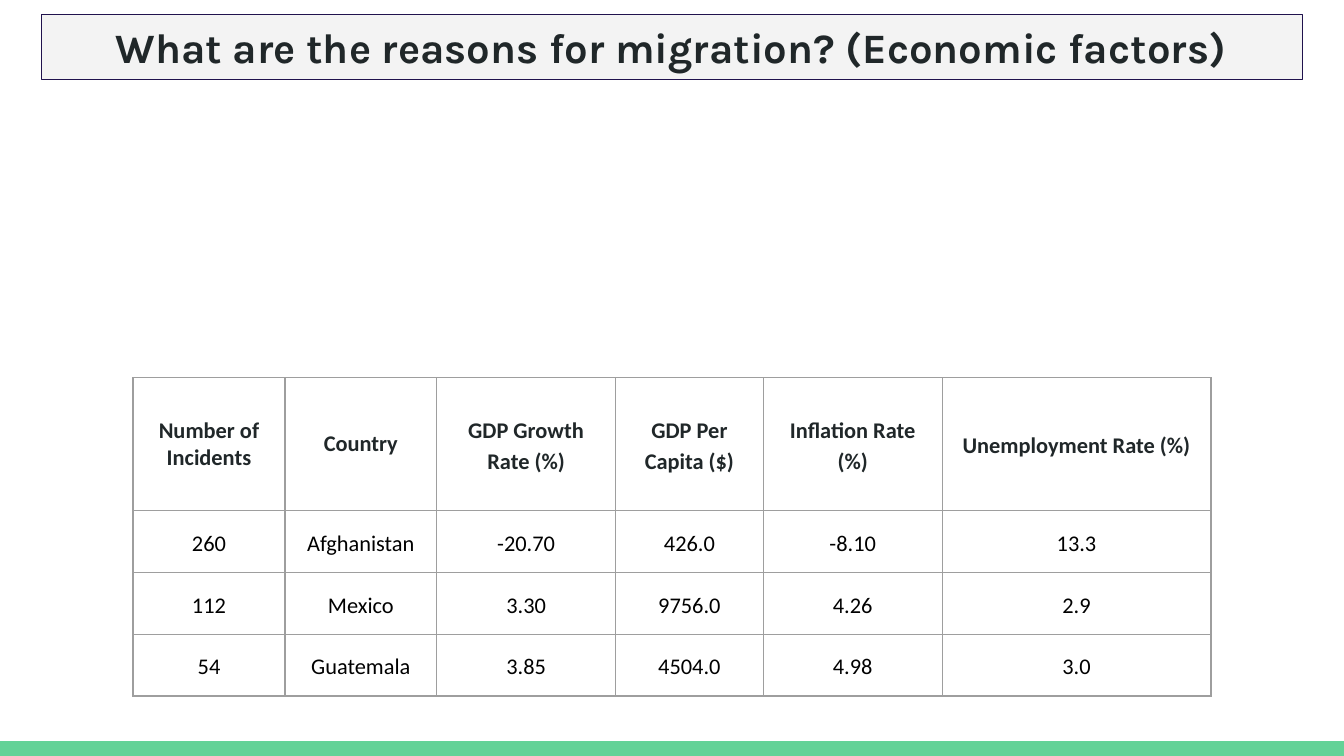
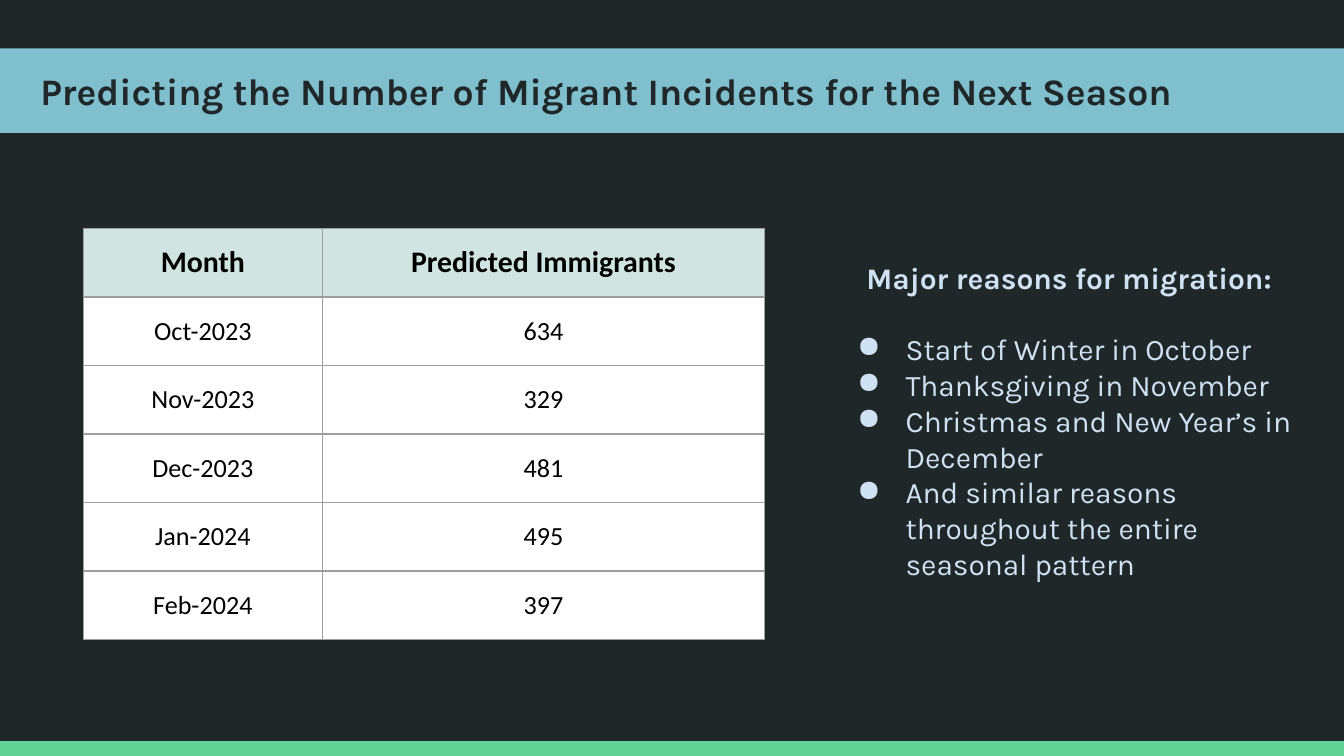
from dataclasses import dataclass

from lxml import etree
from pptx import Presentation
from pptx.dml.color import RGBColor
from pptx.enum.shapes import MSO_SHAPE
from pptx.enum.text import MSO_ANCHOR, MSO_AUTO_SIZE, PP_ALIGN
from pptx.oxml.ns import qn
from pptx.util import Inches, Pt

RECTANGLE = MSO_SHAPE.RECTANGLE
MIDDLE = MSO_ANCHOR.MIDDLE
NO_AUTOFIT = MSO_AUTO_SIZE.NONE
LEFT, CENTER = PP_ALIGN.LEFT, PP_ALIGN.CENTER

COLORS = {
    "dark": "202729",
    "white": "FFFFFF",
    "black": "000000",
    "green": "63D297",
    "blue": "80BFCE",
    "pale_blue": "CFE2F3",
    "mint": "D0E5E2",
    "light_gray": "F3F3F3",
    "navy": "20124D",
    "grid": "9E9E9E",
}
TITLE_FONT, TABLE_FONT = "Karla", "Calibri"
SLIDE_WIDTH, SLIDE_HEIGHT = 10, 5.625
BAND_HEIGHT = 0.11
TITLE_ONLY = 5

FACTOR_HEADERS = ["Number of Incidents", "Country", "GDP Growth Rate (%)",
                  "GDP Per Capita ($)", "Inflation Rate (%)", "Unemployment Rate (%)"]
FACTOR_ROWS = [
    ["260", "Afghanistan", "-20.70", "426.0", "-8.10", "13.3"],
    ["112", "Mexico", "3.30", "9756.0", "4.26", "2.9"],
    ["54", "Guatemala", "3.85", "4504.0", "4.98", "3.0"],
]
PREDICTION_HEADERS = ["Month", "Predicted Immigrants"]
PREDICTION_ROWS = [["Oct-2023", "634"], ["Nov-2023", "329"], ["Dec-2023", "481"],
                   ["Jan-2024", "495"], ["Feb-2024", "397"]]
REASONS = ["Start of Winter in October", "Thanksgiving in November",
           "Christmas and New Year’s in December",
           "And similar reasons throughout the entire seasonal pattern"]


@dataclass
class CellStyle:
    """Describe the look of a table cell."""
    size: float
    color: str = "black"
    bold: bool = False
    fill: str = "white"
    margin: float = 0.1
    line_spacing: float = 1
    space_after: float = 0


def rgb(name):
    """Return the named colour."""
    return RGBColor.from_string(COLORS[name])


def paint(target, color):
    """Give a shape, cell or background a solid fill."""
    target.fill.solid()
    target.fill.fore_color.rgb = rgb(color)


def format_font(paragraph, name, size, color, bold=False):
    """Format the runs of a paragraph."""
    for run in paragraph.runs:
        run.font.name = name
        run.font.size = Pt(size)
        run.font.bold = bold
        run.font.color.rgb = rgb(color)


def place(shape, left, top, width, height):
    """Move and size a shape, in inches."""
    shape.left, shape.top = Inches(left), Inches(top)
    shape.width, shape.height = Inches(width), Inches(height)


def prepare_frame(text_frame, left_margin=0.1):
    """Set wrapping, anchor and margins of a text frame."""
    text_frame.word_wrap = True
    text_frame.auto_size = NO_AUTOFIT
    text_frame.vertical_anchor = MIDDLE
    text_frame.margin_left = Inches(left_margin)
    text_frame.margin_right = Inches(0.1)
    text_frame.margin_top = text_frame.margin_bottom = Inches(0.1)


def add_slide(presentation, background):
    """Add a slide with its background and the green bottom band."""
    slide = presentation.slides.add_slide(presentation.slide_layouts[TITLE_ONLY])
    paint(slide.background, background)
    band = slide.shapes.add_shape(
        RECTANGLE, 0, Inches(SLIDE_HEIGHT - BAND_HEIGHT),
        Inches(SLIDE_WIDTH), Inches(BAND_HEIGHT))
    band.shadow.inherit = False
    paint(band, "green")
    band.line.fill.background()
    return slide


def set_title(slide, text, box, size, fill, alignment, left_margin=0.1):
    """Place and format the slide title as a filled bar."""
    title = slide.shapes.title
    place(title, *box)
    paint(title, fill)
    prepare_frame(title.text_frame, left_margin)
    title.text_frame.text = text
    paragraph = title.text_frame.paragraphs[0]
    paragraph.alignment = alignment
    format_font(paragraph, TITLE_FONT, size, "dark", True)
    return title


def add_borders(cell):
    """Draw thin grey lines on all sides of a cell."""
    properties = cell._tc.get_or_add_tcPr()
    for position, side in enumerate(("lnL", "lnR", "lnT", "lnB")):
        line = etree.Element(qn(f"a:{side}"), w=str(Pt(0.75)))
        fill = etree.SubElement(line, qn("a:solidFill"))
        etree.SubElement(fill, qn("a:srgbClr"), val=COLORS["grid"])
        properties.insert(position, line)


def fill_cell(cell, text, style):
    """Write and format one table cell."""
    cell.text_frame.text = text
    cell.vertical_anchor = MIDDLE
    cell.margin_left = cell.margin_right = Inches(style.margin)
    cell.margin_top = cell.margin_bottom = Inches(style.margin)
    paragraph = cell.text_frame.paragraphs[0]
    paragraph.alignment = CENTER
    paragraph.line_spacing = style.line_spacing
    paragraph.space_after = Pt(style.space_after)
    format_font(paragraph, TABLE_FONT, style.size, style.color, style.bold)
    paint(cell, style.fill)
    add_borders(cell)


def add_table(slide, left, top, widths, heights, headers, rows, header_styles, body_style):
    """Add a bordered table with one style per header cell."""
    frame = slide.shapes.add_table(
        len(heights), len(widths), Inches(left), Inches(top),
        Inches(sum(widths)), Inches(sum(heights)))
    table = frame.table
    for column, width in zip(table.columns, widths):
        column.width = Inches(width)
    for row, height in zip(table.rows, heights):
        row.height = Inches(height)
    for column, (text, style) in enumerate(zip(headers, header_styles)):
        fill_cell(table.cell(0, column), text, style)
    for row, values in enumerate(rows, start=1):
        for column, text in enumerate(values):
            fill_cell(table.cell(row, column), text, body_style)


def add_bullet(paragraph, color):
    """Give a paragraph a hanging round bullet."""
    properties = paragraph._p.get_or_add_pPr()
    properties.set("marL", str(Inches(0.5)))
    properties.set("indent", str(Inches(-0.36)))
    bullet_color = etree.SubElement(properties, qn("a:buClr"))
    etree.SubElement(bullet_color, qn("a:srgbClr"), val=COLORS[color])
    etree.SubElement(properties, qn("a:buChar"), char="●")


def add_bullet_list(slide, box, heading, items):
    """Add a text box with a centred heading above bullets."""
    shape = slide.shapes.add_textbox(*map(Inches, box))
    text_frame = shape.text_frame
    prepare_frame(text_frame)
    text_frame.text = heading
    paragraph = text_frame.paragraphs[0]
    paragraph.alignment = CENTER
    format_font(paragraph, TITLE_FONT, 16, "pale_blue", True)
    for index, item in enumerate(items):
        paragraph = text_frame.add_paragraph()
        paragraph.text = item
        add_bullet(paragraph, "pale_blue")
        if index == 0:
            paragraph.space_before = Pt(19)
        format_font(paragraph, TITLE_FONT, 16, "pale_blue")


def build_factors_slide(presentation):
    """Build the slide on economic factors."""
    slide = add_slide(presentation, "white")
    title = set_title(slide, "What are the reasons for migration? (Economic factors)",
                      (0.31, 0.11, 9.38, 0.48), 22.4, "light_gray", CENTER)
    title.line.color.rgb = rgb("navy")
    title.line.width = Pt(0.75)
    spacing = {"margin": 0.08, "line_spacing": 1.15, "space_after": 11}
    plain_header = CellStyle(12, "dark", True)
    spaced_header = CellStyle(12, "dark", True, **spacing)
    add_table(slide, 0.99, 2.81, [1.13, 1.13, 1.33, 1.1, 1.33, 2], [0.99] + [0.46] * 3,
              FACTOR_HEADERS, FACTOR_ROWS,
              [plain_header] * 2 + [spaced_header] * 4, CellStyle(12, **spacing))


def build_prediction_slide(presentation):
    """Build the slide with the seasonal prediction."""
    slide = add_slide(presentation, "dark")
    set_title(slide, "Predicting the Number of Migrant Incidents for the Next Season",
              (0, 0.36, SLIDE_WIDTH, 0.63), 20, "blue", LEFT, left_margin=0.3)
    add_bullet_list(slide, (6.14, 1.7, 3.63, 2.86), "Major reasons for migration:", REASONS)
    header = CellStyle(16, bold=True, fill="mint")
    add_table(slide, 0.62, 1.7, [1.78, 3.29], [0.51] * 6,
              PREDICTION_HEADERS, PREDICTION_ROWS, [header] * 2, CellStyle(14))


def main():
    """Build and save the presentation."""
    presentation = Presentation()
    presentation.slide_width = Inches(SLIDE_WIDTH)
    presentation.slide_height = Inches(SLIDE_HEIGHT)
    build_factors_slide(presentation)
    build_prediction_slide(presentation)
    presentation.save("out.pptx")


if __name__ == "__main__":
    main()
